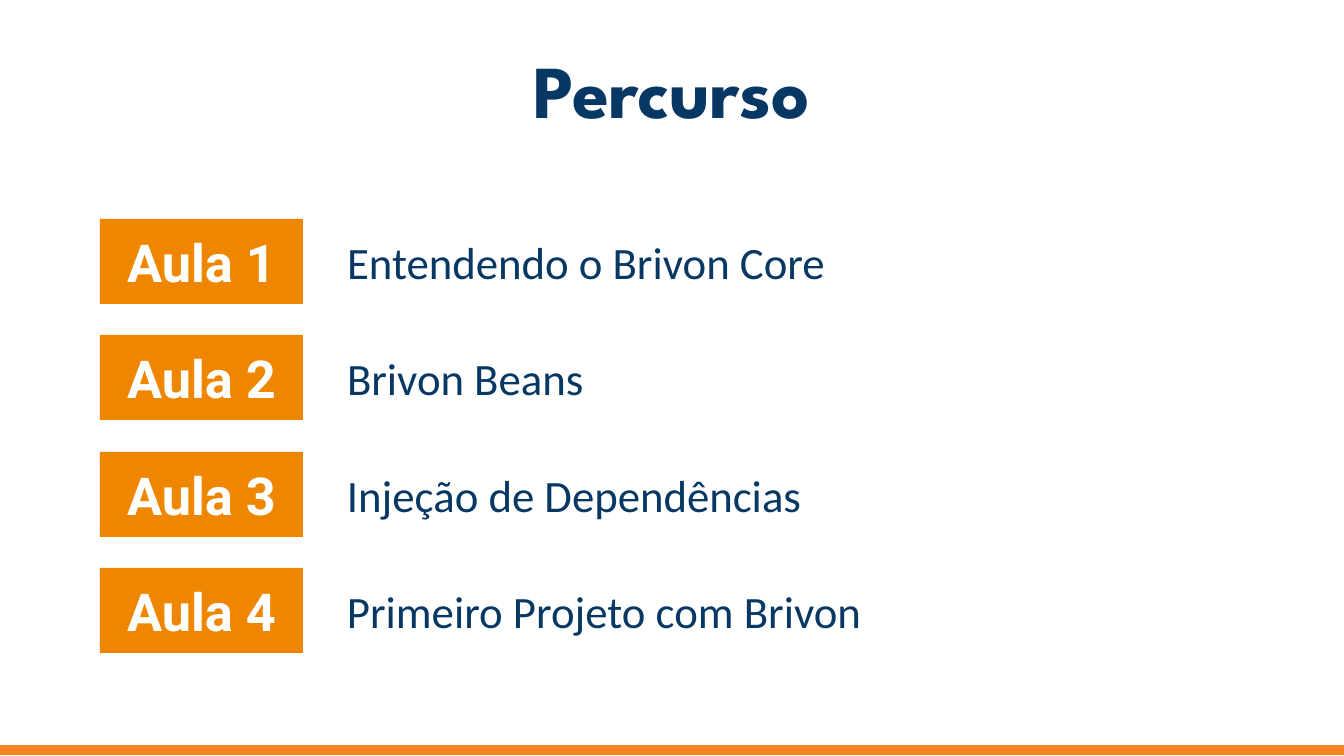
from pptx import Presentation
from pptx.dml.color import RGBColor
from pptx.enum import shapes, text
from pptx.util import Emu, Pt

TITLE = "Percurso"
LESSONS = [
    ("Aula 1", "Entendendo o Brivon Core", 520),
    ("Aula 2", "Brivon Beans", 370),
    ("Aula 3", "Injeção de Dependências", 558),
    ("Aula 4", "Primeiro Projeto com Brivon", 563),
]
THEME = {
    "navy": RGBColor.from_string("073763"),
    "white": RGBColor.from_string("FFFFFF"),
    "label": RGBColor.from_string("EF8600"),
    "footer": RGBColor.from_string("F78321"),
    "title_type": ("League Spartan", 40, True),
    "label_type": ("Roboto", 28, True),
    "topic_type": ("Calibri", 24, False),
}
PX = 914400 / 134.4
FIRST_TOP, LAST_TOP = 219, 568
LABEL_LEFT, LABEL_WIDTH, LABEL_HEIGHT = 100, 203, 85
TOPIC_LEFT, TOPIC_HEIGHT = 334, 67


def px(*lengths):
    return [Emu(round(length * PX)) for length in lengths]


def write(holder, words, style, color, align, pad_y):
    frame = holder.text_frame
    frame.word_wrap = True
    frame.vertical_anchor = text.MSO_ANCHOR.MIDDLE
    frame.margin_left, frame.margin_right = px(13, 13)
    frame.margin_top, frame.margin_bottom = px(pad_y, pad_y)
    line = frame.paragraphs[0]
    line.alignment = align
    run = line.add_run()
    run.text = words
    run.font.name, size, run.font.bold = THEME[style]
    run.font.size = Pt(size)
    run.font.color.rgb = THEME[color]


def bar(slide, box, color):
    block = slide.shapes.add_shape(shapes.MSO_SHAPE.RECTANGLE, *px(*box))
    block.shadow.inherit = False
    block.fill.solid()
    block.fill.fore_color.rgb = THEME[color]
    block.line.fill.background()
    return block


deck = Presentation()
deck.slide_width, deck.slide_height = px(1344, 756)
slide = deck.slides.add_slide(deck.slide_layouts[6])
center, left = text.PP_ALIGN.CENTER, text.PP_ALIGN.LEFT

heading = slide.shapes.add_textbox(*px(46, 45, 1252, 87))
write(heading, TITLE, "title_type", "navy", center, 13)

footer = bar(slide, (0, 746, 1344, 8), "footer")
footer.line.color.rgb = THEME["footer"]
footer.line.width = Pt(0.75)

pitch = (LAST_TOP - FIRST_TOP) / (len(LESSONS) - 1)
for index, (lesson, topic, topic_width) in enumerate(LESSONS):
    top = round(FIRST_TOP + index * pitch)
    label = bar(slide, (LABEL_LEFT, top, LABEL_WIDTH, LABEL_HEIGHT), "label")
    write(label, lesson, "label_type", "white", center, 13)
    topic_top = top + (LABEL_HEIGHT - TOPIC_HEIGHT) // 2
    subject = slide.shapes.add_textbox(*px(TOPIC_LEFT, topic_top, topic_width, TOPIC_HEIGHT))
    write(subject, topic, "topic_type", "navy", left, 7)

deck.save("out.pptx")
